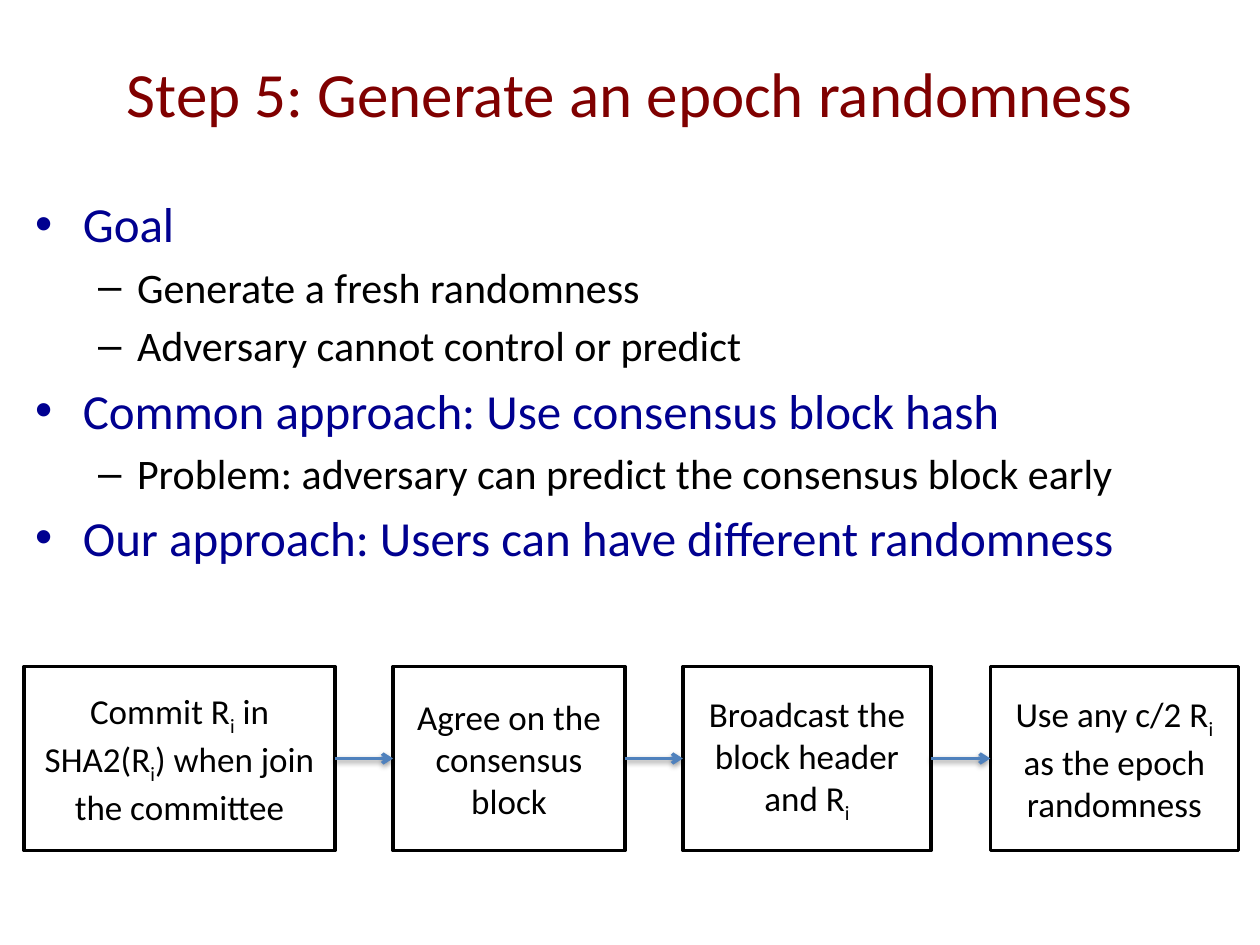
import itertools

import pptx
import pptx.dml.color
import pptx.enum.shapes
import pptx.enum.text
import pptx.oxml
import pptx.oxml.ns
import pptx.util

Inches = pptx.util.Inches
Pt = pptx.util.Pt
COLORS = {"title": "800000", "topic": "000090", "text": "000000",
          "box": "FFFFFF", "arrow": "4F81BD"}
LEVELS = [("•", 0.38, 0.38, 28, "topic"), ("–", 0.81, 0.31, 24, "text")]


class SlideBuilder:
    """Holds the deck style and the slide being built."""

    font = "Calibri"
    line_width = Pt(2)

    def __init__(self, prs):
        self.slide = prs.slides.add_slide(prs.slide_layouts[5])

    def color(self, name):
        return pptx.dml.color.RGBColor.from_string(COLORS[name])

    def xml(self, parent, body):
        ns = pptx.oxml.ns.nsdecls("a")
        parent.append(pptx.oxml.parse_xml(body.replace(">", f" {ns}>", 1)))

    def format_runs(self, p, size, color):
        for r in p.runs:
            r.font.name = self.font
            r.font.size = Pt(size)
            r.font.color.rgb = self.color(color)

    def place(self, sp, left, top, width, height):
        sp.left, sp.top = Inches(left), Inches(top)
        sp.width, sp.height = Inches(width), Inches(height)

    def title(self, text, *box):
        sp = self.slide.shapes.title
        self.place(sp, *box)
        tf = sp.text_frame
        tf.text = text
        tf.vertical_anchor = pptx.enum.text.MSO_ANCHOR.MIDDLE
        p = tf.paragraphs[0]
        p.alignment = pptx.enum.text.PP_ALIGN.CENTER
        self.format_runs(p, 36, "title")

    def bullets(self, items, *box):
        sp = self.slide.shapes.add_textbox(*map(Inches, box))
        tf = sp.text_frame
        tf.word_wrap = True
        tf.text = "\n".join(text for level, text in items)
        for p, (level, text) in zip(tf.paragraphs, items):
            char, margin, hanging, size, color = LEVELS[level]
            p.level = level
            p.space_before = Pt(0.2 * size)
            pPr = p._p.get_or_add_pPr()
            pPr.set("marL", str(Inches(margin)))
            pPr.set("indent", str(-Inches(hanging)))
            self.xml(pPr, '<a:buFont><a:dummy/></a:buFont>'
                     .replace("<a:buFont><a:dummy/></a:buFont>",
                              '<a:buFont typeface="Arial"></a:buFont>'))
            self.xml(pPr, f'<a:buChar char="{char}"></a:buChar>')
            self.format_runs(p, size, color)

    def box(self, text, *box):
        """Adds a box; text between underscores is set as a subscript."""
        sp = self.slide.shapes.add_shape(
            pptx.enum.shapes.MSO_SHAPE.RECTANGLE, *map(Inches, box))
        sp.shadow.inherit = False
        sp.fill.solid()
        sp.fill.fore_color.rgb = self.color("box")
        sp.line.color.rgb = self.color("text")
        sp.line.width = self.line_width
        tf = sp.text_frame
        tf.word_wrap = True
        tf.vertical_anchor = pptx.enum.text.MSO_ANCHOR.MIDDLE
        p = tf.paragraphs[0]
        p.alignment = pptx.enum.text.PP_ALIGN.CENTER
        for i, part in enumerate(text.split("_")):
            if part:
                r = p.add_run()
                r.text = part
                if i % 2:
                    r.font._element.set("baseline", "-25000")
        self.format_runs(p, 20, "text")
        return sp

    def arrow(self, start, end):
        cxn = self.slide.shapes.add_connector(
            pptx.enum.shapes.MSO_CONNECTOR.STRAIGHT, 0, 0, 0, 0)
        cxn.begin_connect(start, 3)
        cxn.end_connect(end, 1)
        cxn.line.color.rgb = self.color("arrow")
        cxn.line.width = self.line_width
        self.xml(cxn.line._get_or_add_ln(), '<a:tailEnd type="arrow"></a:tailEnd>')
        self.xml(cxn._element.spPr,
                 '<a:effectLst><a:outerShdw blurRad="40000" dist="20000" '
                 'dir="5400000" rotWithShape="0"><a:srgbClr val="000000">'
                 '<a:alpha val="38000"/></a:srgbClr></a:outerShdw></a:effectLst>')


def main():
    prs = pptx.Presentation()
    prs.slide_width, prs.slide_height = Inches(10), Inches(7.5)
    s = SlideBuilder(prs)
    s.title("Step 5: Generate an epoch randomness", 0.5, 0.3, 9, 0.86)
    s.bullets([
        (0, "Goal"),
        (1, "Generate a fresh randomness"),
        (1, "Adversary cannot control or predict"),
        (0, "Common approach: Use consensus block hash"),
        (1, "Problem: adversary can predict the consensus block early"),
        (0, "Our approach: Users can have different randomness"),
    ], 0.18, 1.49, 9.63, 5.77)
    steps = [
        ("Commit R_i_ in SHA2(R_i_) when join the committee", 0.19, 2.47),
        ("Agree on the consensus block", 3.12, 1.84),
        ("Broadcast the block header and R_i_", 5.42, 1.97),
        ("Use any c/2 R_i_ as the epoch randomness", 7.86, 1.97),
    ]
    boxes = [s.box(text, left, 5.29, width, 1.46) for text, left, width in steps]
    for start, end in itertools.pairwise(boxes):
        s.arrow(start, end)
    prs.save("out.pptx")


if __name__ == "__main__":
    main()
